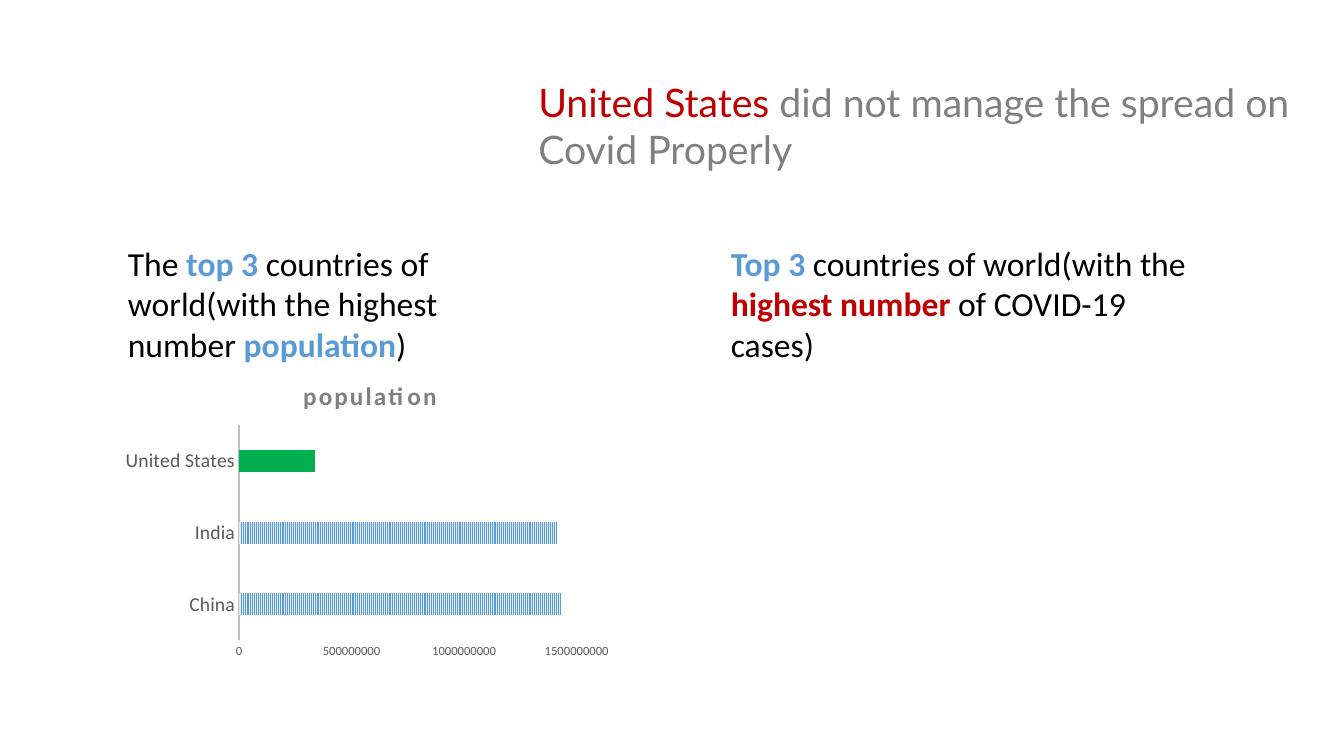
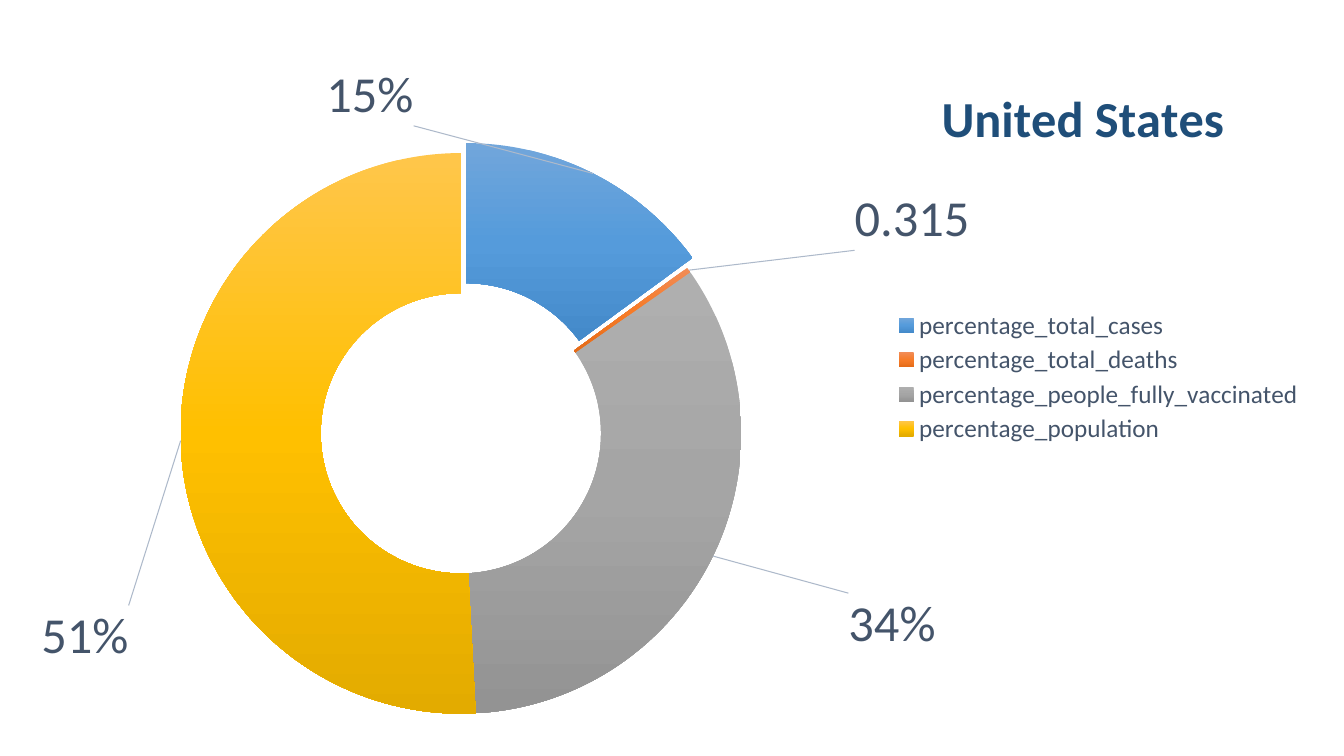
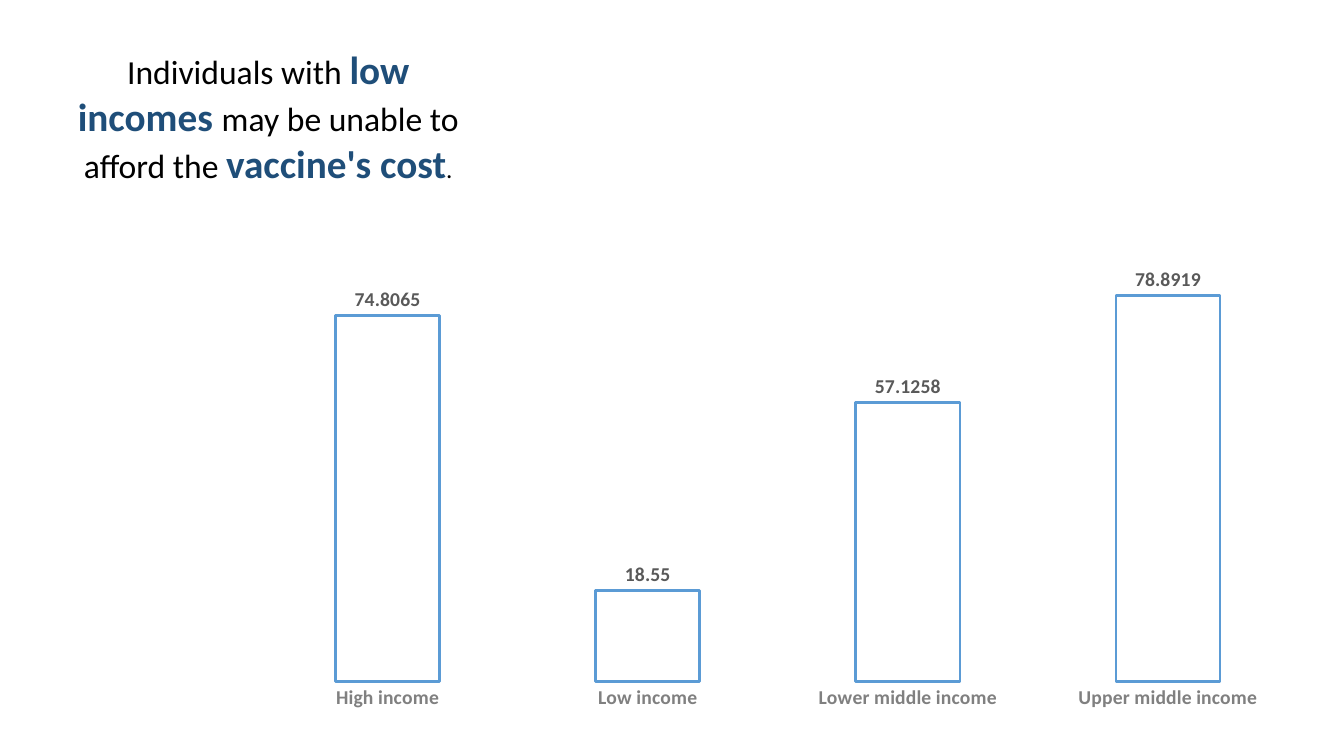
from copy import deepcopy

from pptx import Presentation
from pptx.chart.data import CategoryChartData
from pptx.dml.color import RGBColor
from pptx.enum.chart import XL_CHART_TYPE, XL_LABEL_POSITION, XL_LEGEND_POSITION, XL_TICK_MARK
from pptx.enum.dml import MSO_PATTERN
from pptx.enum.text import MSO_AUTO_SIZE, PP_ALIGN
from pptx.oxml import parse_xml
from pptx.oxml.ns import nsdecls, qn
from pptx.util import Inches, Pt

# Shared colours and fonts
BLACK = RGBColor(0x00, 0x00, 0x00)
GRAY = RGBColor(0x80, 0x80, 0x80)
DARK_GRAY = RGBColor(0x59, 0x59, 0x59)
AXIS_GRAY = RGBColor(0xBF, 0xBF, 0xBF)
BLUE = RGBColor(0x5B, 0x9B, 0xD5)
PALE_BLUE = RGBColor(0xDE, 0xEB, 0xF7)
NAVY = RGBColor(0x1F, 0x4E, 0x79)
SLATE = RGBColor(0x44, 0x54, 0x6A)
RED = RGBColor(0xC0, 0x00, 0x00)
GREEN = RGBColor(0x00, 0xB0, 0x50)
BODY_FONT = "Calibri"
HEADLINE_FONT = "Lato"

# Top, middle and bottom colour of each ring slice
SLICE_GRADIENTS = [
    ("71A6DB", "559BDB", "448ACA"),
    ("F18C57", "F67B28", "E56C19"),
    ("AFAFAF", "A5A5A5", "939393"),
    ("FFC64B", "FFC000", "E3AB00"),
]
# Shift of each slice label, as a share of the chart size
LABEL_SHIFTS = [(-0.15, -0.2), (0.22, -0.13), (0.19, 0.14), (-0.13, 0.28)]


def style_font(font, size, color, bold=False, name=BODY_FONT):
    font.size, font.bold, font.name = Pt(size), bold, name
    font.color.rgb = color


def add_text(slide, box, runs, font=BODY_FONT, align=PP_ALIGN.LEFT):
    """Add one paragraph; runs are (text, size, colour, bold)."""
    frame = slide.shapes.add_textbox(*map(Inches, box)).text_frame
    frame.word_wrap = True
    frame.auto_size = MSO_AUTO_SIZE.SHAPE_TO_FIT_TEXT
    paragraph = frame.paragraphs[0]
    paragraph.alignment = align
    for text, size, color, bold in runs:
        run = paragraph.add_run()
        run.text = text
        style_font(run.font, size, color, bold, font)


def add_chart(slide, kind, box, series_name, values):
    data = CategoryChartData()
    data.categories = list(values)
    data.add_series(series_name, list(values.values()))
    chart = slide.shapes.add_chart(kind, *map(Inches, box), data).chart
    style_font(chart.font, 10, BLACK)
    chart.has_legend = False
    chart.has_title = False
    chart.plots[0].vary_by_categories = False
    return chart


def set_title(chart, text, size, color):
    frame = chart.chart_title.text_frame
    frame.text = text
    style_font(frame.paragraphs[0].runs[0].font, size, color, True)
    chart.chart_title.include_in_layout = False


def set_layout(element, index, x, y, w=None, h=None, edge=True, inner=False):
    """Place a chart part by shares of the chart size."""
    for old in element.findall(qn("c:layout")):
        element.remove(old)
    tags = [("layoutTarget", "inner")] if inner else []
    if edge:
        tags += [("xMode", "edge"), ("yMode", "edge")]
    tags += [("x", x), ("y", y)]
    if w:
        tags += [("w", w), ("h", h)]
    body = "".join(f'<c:{tag} val="{value}"/>' for tag, value in tags)
    element.insert(index, parse_xml(
        f'<c:layout {nsdecls("c")}><c:manualLayout>{body}</c:manualLayout></c:layout>'))


def chart_part(chart, tag):
    return next(chart.element.iter(qn(tag)))


def style_category_axis(axis, color, bold=False):
    axis.major_tick_mark = axis.minor_tick_mark = XL_TICK_MARK.NONE
    axis.has_major_gridlines = False
    style_font(axis.tick_labels.font, 14, color, bold)


def style_value_axis(axis, maximum):
    axis.minimum_scale, axis.maximum_scale = 0, maximum
    axis.has_major_gridlines = False
    axis.major_tick_mark = axis.minor_tick_mark = XL_TICK_MARK.NONE


def add_population_chart(slide):
    chart = add_chart(
        slide, XL_CHART_TYPE.BAR_CLUSTERED, (1.17, 3.59, 5, 3), "population",
        {"China": 1430000000, "India": 1410000000, "United States": 340000000})
    set_title(chart, "population", 18, GRAY)
    for run_style in chart_part(chart, "c:title").iter(qn("a:rPr")):
        run_style.set("spc", "150")
    set_layout(chart_part(chart, "c:plotArea"), 0, 0.24, 0.21, 0.67, 0.71, inner=True)

    # Axes
    style_category_axis(chart.category_axis, DARK_GRAY)
    chart.category_axis.format.line.color.rgb = AXIS_GRAY
    chart.category_axis.format.line.width = Pt(1.5)
    style_value_axis(chart.value_axis, 1500000000)
    chart.value_axis.major_unit = 500000000
    chart.value_axis.format.line.fill.background()
    style_font(chart.value_axis.tick_labels.font, 9, DARK_GRAY)

    # Striped bars, with the United States picked out
    plot = chart.plots[0]
    plot.gap_width, plot.overlap = 227, -48
    population = plot.series[0]
    stripes = population.format.fill
    stripes.patterned()
    stripes.pattern = MSO_PATTERN.NARROW_VERTICAL
    stripes.fore_color.rgb = BLUE
    stripes.back_color.rgb = PALE_BLUE
    highlight = population.points[2].format.fill
    highlight.solid()
    highlight.fore_color.rgb = GREEN


def fill_slices(chart, points):
    for index in range(len(SLICE_GRADIENTS)):
        fill = points[index].format.fill
        fill.gradient()
        fill.gradient_angle = 270
    for stops in chart.element.iter(qn("a:gsLst")):
        stops.append(deepcopy(stops[-1]))
    for index, colors in enumerate(SLICE_GRADIENTS):
        stops = points[index].format.fill.gradient_stops
        for stop, position, color in zip(stops, (0, 0.5, 1), colors):
            stop.position = position
            stop.color.rgb = RGBColor.from_string(color)


def label_slices(chart, series):
    labels = series.data_labels
    labels.show_percentage, labels.show_value = True, False
    labels.number_format, labels.number_format_is_linked = "0%", False
    style_font(labels.font, 36, SLATE)
    for index in range(len(LABEL_SHIFTS)):
        label = series.points[index].data_label
        if index == 1:
            label.text_frame.text = "0.315"
            style_font(label.text_frame.paragraphs[0].runs[0].font, 36, SLATE)
        else:
            style_font(label.font, 36, SLATE)
    for label, shift in zip(chart.element.iter(qn("c:dLbl")), LABEL_SHIFTS):
        set_layout(label, 1, *shift, edge=False)
        label.find(qn("c:showVal")).set("val", "0")
        label.find(qn("c:showPercent")).set("val", "1")
    chart_part(chart, "c:showLeaderLines").addnext(parse_xml(
        f'<c:leaderLines {nsdecls("c", "a")}><c:spPr><a:ln w="9525"><a:solidFill>'
        '<a:srgbClr val="ADB9CA"/></a:solidFill></a:ln></c:spPr></c:leaderLines>'))


def add_country_ring(slide):
    chart = add_chart(
        slide, XL_CHART_TYPE.DOUGHNUT, (0.4, 0.24, 12.64, 7), "United States",
        {"percentage_total_cases": 15, "percentage_total_deaths": 0.315,
         "percentage_people_fully_vaccinated": 34, "percentage_population": 51})
    chart.plots[0].vary_by_categories = True
    set_title(chart, "United States", 36, NAVY)
    set_layout(chart_part(chart, "c:title"), 1, 0.7, 0.07)
    set_layout(chart_part(chart, "c:plotArea"), 0, 0.11, 0.18, 0.44, 0.8, inner=True)

    # Legend
    chart.has_legend = True
    chart.legend.position = XL_LEGEND_POSITION.RIGHT
    chart.legend.include_in_layout = False
    style_font(chart.legend.font, 18, SLATE)
    set_layout(chart_part(chart, "c:legend"), 1, 0.67, 0.4, 0.32, 0.2)

    # Slices, with the first pulled out
    country = chart.plots[0].series[0]
    fill_slices(chart, country.points)
    first_slice = chart_part(chart, "c:dPt")
    first_slice.find(qn("c:spPr")).addprevious(
        parse_xml(f'<c:explosion {nsdecls("c")} val="8"/>'))
    label_slices(chart, country)


def add_income_chart(slide):
    chart = add_chart(
        slide, XL_CHART_TYPE.COLUMN_CLUSTERED, (2.34, 2.3, 10.75, 4.85), "Series 1",
        {"High income": 74.8065, "Low income": 18.55,
         "Lower middle income": 57.1258, "Upper middle income": 78.8919})
    set_layout(chart_part(chart, "c:plotArea"), 0, 0.02, 0.02, 0.96, 0.9, inner=True)
    style_category_axis(chart.category_axis, GRAY, True)
    chart.category_axis.format.line.fill.background()
    style_value_axis(chart.value_axis, 90)
    chart.value_axis.visible = False

    # Outlined columns with their values
    plot = chart.plots[0]
    plot.gap_width, plot.overlap = 150, -25
    income = plot.series[0]
    income.format.fill.background()
    income.format.line.color.rgb = BLUE
    income.format.line.width = Pt(2)
    labels = income.data_labels
    labels.show_value = True
    labels.position = XL_LABEL_POSITION.OUTSIDE_END
    style_font(labels.font, 14, DARK_GRAY, True)


def build_comparison(slide):
    add_population_chart(slide)
    add_text(slide, (1.17, 2.36, 4.07, 1.31), [
        ("The ", 24, BLACK, False),
        ("top 3 ", 24, BLUE, True),
        ("countries of world(with the highest number ", 24, BLACK, False),
        ("population", 24, BLUE, True),
        (")", 24, BLACK, False)])
    add_text(slide, (7.15, 2.36, 4.85, 1.31), [
        ("Top 3 ", 24, BLUE, True),
        ("countries of world(with the ", 24, BLACK, False),
        ("highest number ", 24, RED, True),
        ("of COVID-19 cases)", 24, BLACK, False)])
    add_text(slide, (5.24, 0.73, 7.91, 1.04), [
        ("United States ", 28, RED, False),
        ("did not manage the spread on Covid Properly", 28, GRAY, False)],
        font=HEADLINE_FONT)


def build_income(slide):
    add_income_chart(slide)
    add_text(slide, (0.55, 0.4, 4.22, 1.51), [
        ("Individuals with ", 24, BLACK, False),
        ("low incomes ", 28, NAVY, True),
        ("may be unable to afford the ", 24, BLACK, False),
        ("vaccine's cost", 28, NAVY, True),
        (".", 18, BLACK, False)], align=PP_ALIGN.CENTER)


def main():
    deck = Presentation()
    deck.slide_width, deck.slide_height = Inches(13.33), Inches(7.5)
    for build in (build_comparison, add_country_ring, build_income):
        build(deck.slides.add_slide(deck.slide_layouts[6]))
    deck.save("out.pptx")


if __name__ == "__main__":
    main()
